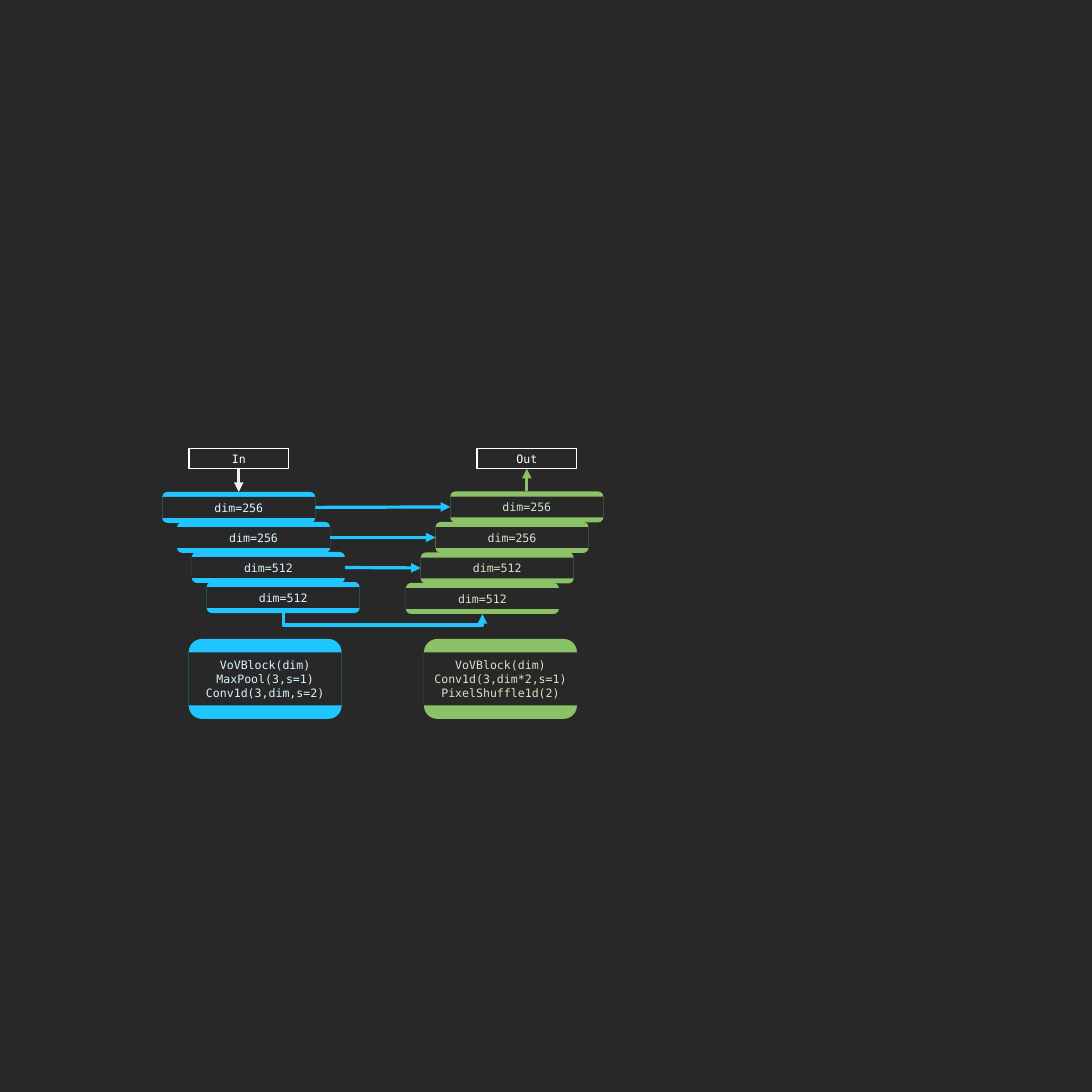
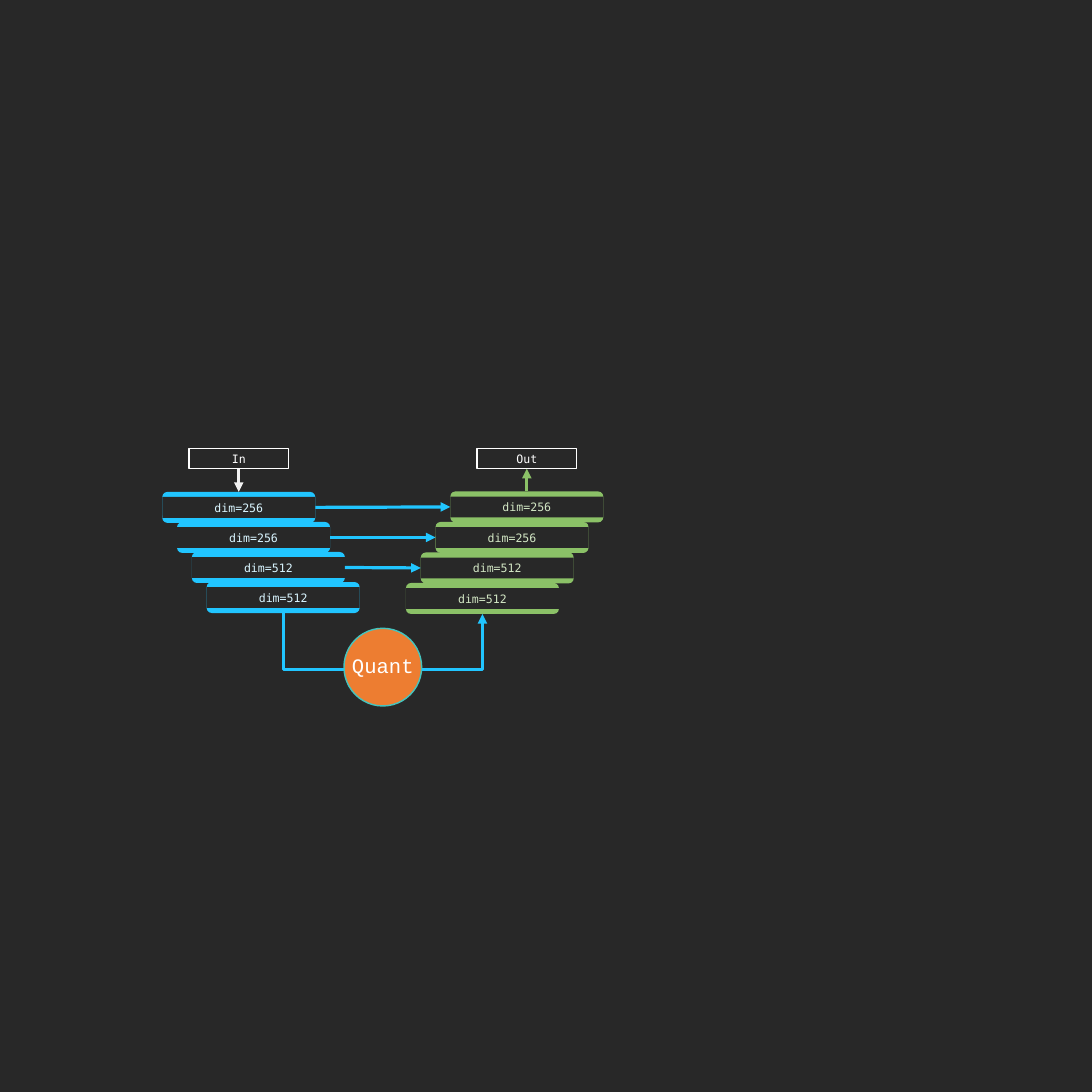
from lxml import etree
from pptx import Presentation
from pptx.dml.color import RGBColor
from pptx.enum import shapes, text
from pptx.oxml.ns import qn
from pptx.util import Inches, Pt

# Content
DIMS = ["dim=256", "dim=256", "dim=512", "dim=512"]
DOWN_BLOCK = ["VoVBlock(dim)", "MaxPool(3,s=1)", "Conv1d(3,dim,s=2)"]
UP_BLOCK = ["VoVBlock(dim)", "Conv1d(3,dim*2,s=1)", "PixelShuffle1d(2)"]

# Shared look
DARK, WHITE, PALE, ORANGE, TEAL = "282828", "FFFFFF", "F2F2F2", "ED7D31", "45C4BE"
BLUE = dict(band="21C5FF", ink="D9F5FF")
GREEN = dict(band="8BC167", ink="D2E6C4")
MONO = "DejaVu Sans Mono"

# Grid, in inches
SIDE = 23.62
LAYER_W, LAYER_H, LAYER_BAND = 3.31, 0.67, 0.11
BLOCK_H, BLOCK_BAND = 1.73, 0.29
PORT_W, PORT_H, PORT_Y = 2.15, 0.44, 9.7
STEP = 0.32
ENCODER = [(3.51 + STEP * i, 10.64 + 0.65 * i) for i in range(len(DIMS))]
DECODER = [(9.74 - STEP * i, 10.63 + 0.66 * i) for i in range(len(DIMS))]
RECT, ROUND, OVAL = (shapes.MSO_SHAPE.RECTANGLE, shapes.MSO_SHAPE.ROUNDED_RECTANGLE,
                     shapes.MSO_SHAPE.OVAL)


def rgb(color):
    return RGBColor.from_string(color)


def write(sp, lines, color=WHITE, size=18, font=MONO):
    tf = sp.text_frame
    tf.word_wrap = True
    tf.vertical_anchor = text.MSO_ANCHOR.MIDDLE
    for i, line in enumerate(lines):
        p = tf.add_paragraph() if i else tf.paragraphs[0]
        p.alignment = text.PP_ALIGN.CENTER
        r = p.add_run()
        r.text = line
        r.font.size, r.font.name = Pt(size), font
        r.font.color.rgb = rgb(color)


def add_shape(parent, kind, x, y, w, h, fill, line=None, width=2):
    sp = parent.shapes.add_shape(kind, *map(Inches, (x, y, w, h)))
    sp.shadow.inherit = False
    sp.fill.solid()
    sp.fill.fore_color.rgb = rgb(fill)
    if line:
        sp.line.color.rgb, sp.line.width = rgb(line), Pt(width)
    else:
        sp.line.fill.background()
    return sp


def add_banded(s, x, y, h, band_h, lines, band, ink):
    """Rounded box showing as a coloured band above and below a dark label."""
    group = s.shapes.add_group_shape()
    add_shape(group, ROUND, x, y, LAYER_W, h, band)
    label = add_shape(group, RECT, x, y + band_h, LAYER_W, h - 2 * band_h, DARK)
    write(label, lines, ink)


def add_arrow(s, start, end, color, kind=shapes.MSO_CONNECTOR.STRAIGHT):
    c = s.shapes.add_connector(kind, *map(Inches, start + end))
    c.line.color.rgb, c.line.width = rgb(color), Pt(5)
    tail = etree.SubElement(c.line._get_or_add_ln(), qn("a:tailEnd"))
    tail.set("type", "triangle")
    etree.SubElement(c._element.spPr, qn("a:effectLst"))
    return c


def add_u_arrow(s, start, end, drop, color):
    """Elbow turned a quarter so that it runs down, across and up."""
    c = add_arrow(s, start, end, color, shapes.MSO_CONNECTOR.ELBOW)
    (x1, y1), (x2, y2) = start, end
    rise, span = y2 - y1, x2 - x1
    c.left, c.top = Inches((x1 + x2 - rise) / 2), Inches((y1 + y2 - span) / 2)
    c.width, c.height = Inches(rise), Inches(span)
    xfrm = c._element.spPr.find(qn("a:xfrm"))
    xfrm.set("rot", str(270 * 60000))
    xfrm.set("flipH", "1")
    guides = c._element.spPr.find(qn("a:prstGeom")).get_or_add_avLst()
    guide = etree.SubElement(guides, qn("a:gd"))
    guide.set("name", "adj1")
    guide.set("fmla", f"val {round(drop / rise * 100000)}")


def add_network(prs, drop):
    """Slide with encoder, decoder, skips and a bottom link of the given depth."""
    s = prs.slides.add_slide(prs.slide_layouts[6])
    for (x, y), dim in zip(ENCODER, DIMS):
        add_banded(s, x, y, LAYER_H, LAYER_BAND, [dim], **BLUE)
    for (x, y), dim in reversed(list(zip(DECODER, DIMS))):
        add_banded(s, x, y, LAYER_H, LAYER_BAND, [dim], **GREEN)

    # Skip connections and bottom link
    for (x1, y1), (x2, y2) in list(zip(ENCODER, DECODER))[:-1]:
        add_arrow(s, (x1 + LAYER_W, y1 + LAYER_H / 2), (x2, y2 + LAYER_H / 2), BLUE["band"])
    start, end = [(x + LAYER_W / 2, y + LAYER_H) for x, y in (ENCODER[-1], DECODER[-1])]
    add_u_arrow(s, start, end, drop, BLUE["band"])

    # Input and output
    for name, (x, y) in (("In", ENCODER[0]), ("Out", DECODER[0])):
        center = x + LAYER_W / 2
        port = add_shape(s, RECT, center - PORT_W / 2, PORT_Y, PORT_W, PORT_H, DARK, WHITE)
        write(port, [name])
        upper, lower = (center, PORT_Y + PORT_H), (center, y)
        if name == "In":
            add_arrow(s, upper, lower, PALE)
        else:
            add_arrow(s, lower, upper, GREEN["band"])
    return s


prs = Presentation()
prs.slide_width = prs.slide_height = Inches(SIDE)
background = prs.slide_master.background.fill
background.solid()
background.fore_color.rgb = rgb(DARK)

# Slide 1: network with the make-up of its layers
s = add_network(prs, 0.26)
for x, lines, colors in ((4.08, DOWN_BLOCK, BLUE), (9.17, UP_BLOCK, GREEN)):
    add_banded(s, x, 13.82, BLOCK_H, BLOCK_BAND, lines, **colors)

# Slide 2: network with a quantizer on the bottom link
s = add_network(prs, 1.22)
x, y, size, label_h = 7.44, 13.59, 1.68, 0.64
add_shape(s, OVAL, x, y, size, size, ORANGE, TEAL, 2.25)
label = s.shapes.add_textbox(*map(Inches, (x, y + 0.49, size, label_h)))
write(label, ["Quant"], size=32, font="Courier New")

prs.save("out.pptx")
